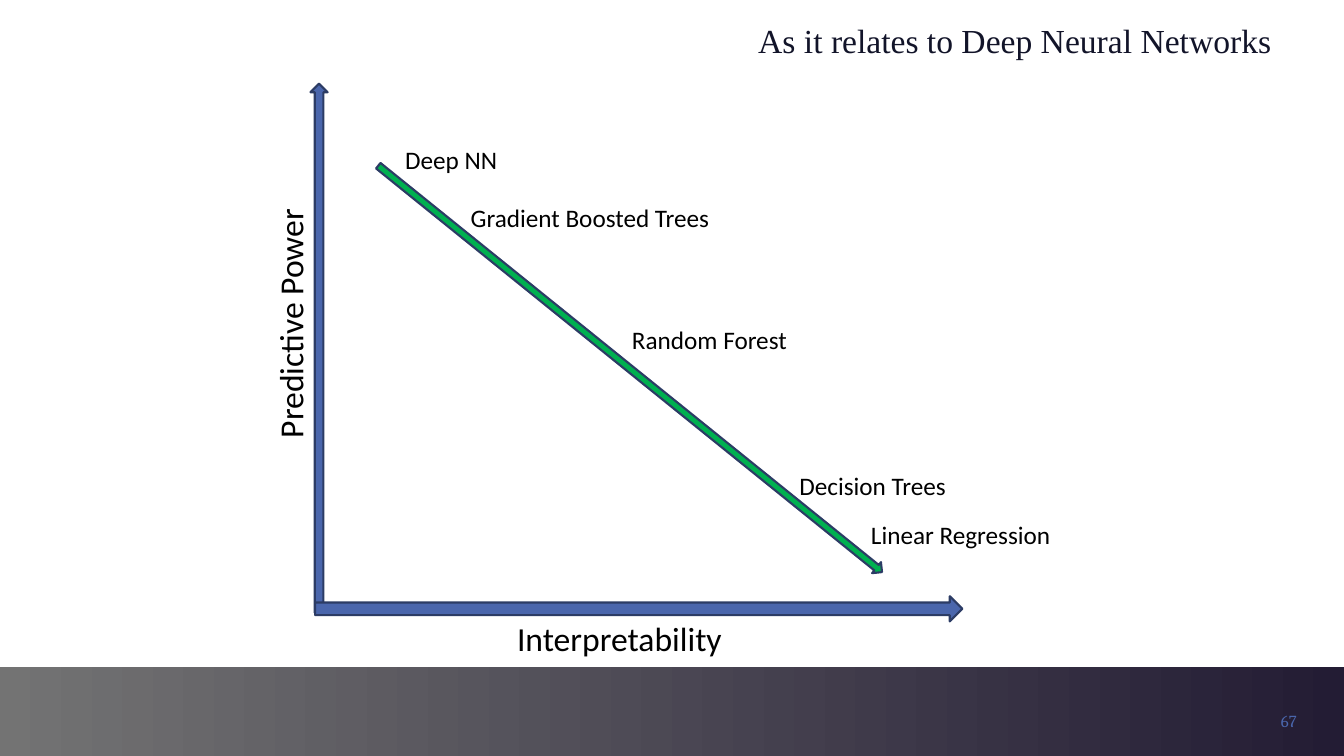
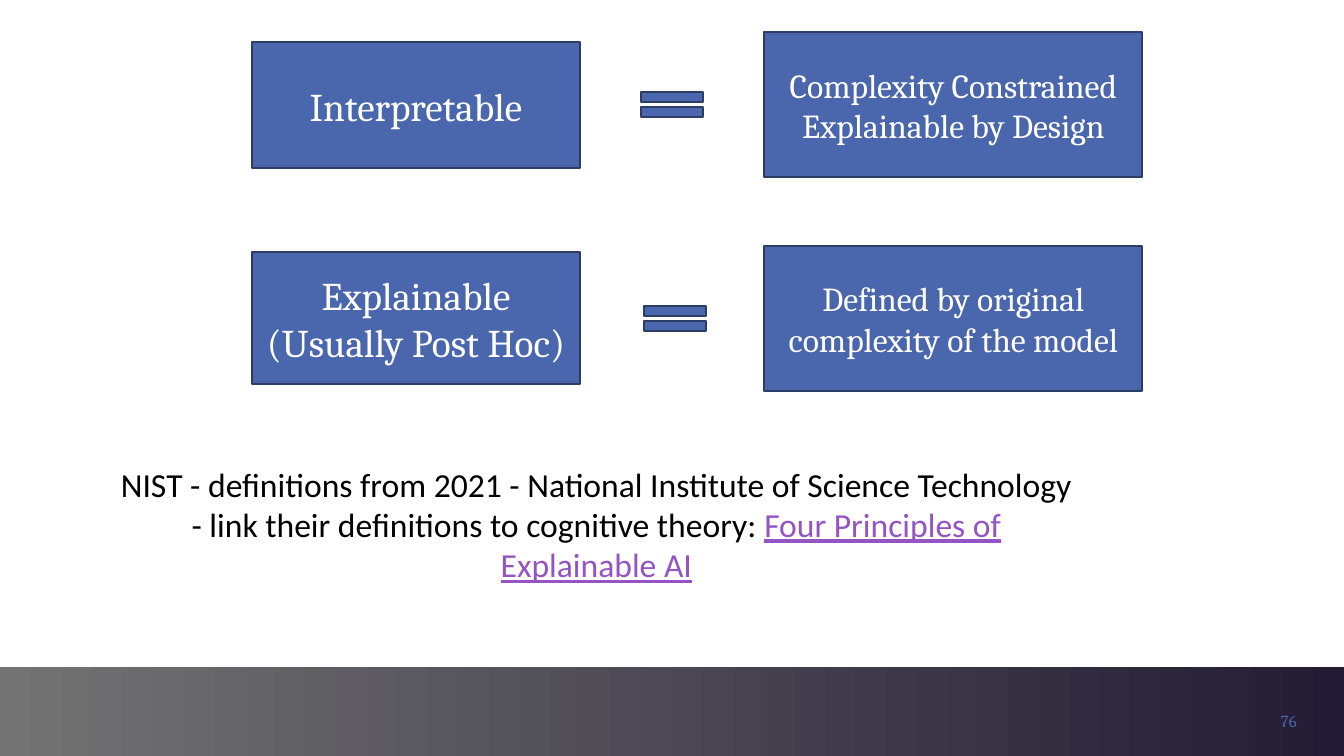
"""Build two slides on model interpretability and explainability."""
from pptx import Presentation
from pptx.dml.color import RGBColor
from pptx.enum.shapes import MSO_SHAPE
from pptx.enum.text import MSO_ANCHOR, MSO_AUTO_SIZE, PP_ALIGN
from pptx.util import Inches, Pt

BLUE, EDGE, GREEN = "4A66AC", "2C3C65", "00B050"
BLACK, WHITE, NAVY, PURPLE = "000000", "FFFFFF", "121429", "9454C3"
BAND = ("737373", "231C34")
WIDTH, HEIGHT, BAND_TOP = 13.33, 7.5, 6.62
TITLE_ONLY, BLANK = 5, 6

TITLE = "As it relates to Deep Neural Networks"
ARROWS = [
    ((3.08, 0.83, 0.17, 5.25), 0, BLUE),
    ((6.21, 2.83, 0.25, 6.42), 90, BLUE),
    ((6.18, 0.45, 0.14, 6.42), 128.9, GREEN),
]
AXIS_LABELS = [
    ("Predictive Power", (1.57, 2.89, 2.61, 0.5), 270),
    ("Interpretability", (5.03, 6.08, 3.17, 0.5), 0),
]
MODELS = [
    ("Deep NN", 3.92, 1.38),
    ("Gradient Boosted Trees", 4.57, 1.96),
    ("Random Forest", 6.17, 3.17),
    ("Decision Trees", 7.83, 4.62),
    ("Linear Regression", 8.54, 5.1),
]
TERMS = [
    ("Interpretable", (2.5, 0.42, 3.25, 1.25), 28),
    ("Explainable (Usually Post Hoc)", (2.5, 2.5, 3.25, 1.31), 28),
    ("Complexity Constrained Explainable by Design", (7.58, 0.32, 3.75, 1.44), 24),
    ("Defined by original complexity of the model", (7.58, 2.44, 3.75, 1.44), 24),
]
EQUALS = [(6.25, 0.83, 0.83, 0.42), (6.28, 2.95, 0.83, 0.42)]
NOTE = ("NIST - definitions from 2021 - National Institute of Science Technology "
        "- link their definitions to cognitive theory: ")
NOTE_LINK = "Four Principles of Explainable AI"


def rgb(color):
    return RGBColor.from_string(color)


def box(at):
    return [Inches(v) for v in at]


def style(r, size, color, font):
    r.font.size, r.font.name = Pt(size), font
    r.font.color.rgb = rgb(color)


def write(sp, text, size, color=BLACK, font="Calibri",
          align=PP_ALIGN.LEFT, anchor=MSO_ANCHOR.TOP):
    tf = sp.text_frame
    tf.word_wrap, tf.auto_size = True, MSO_AUTO_SIZE.NONE
    tf.vertical_anchor = anchor
    tf.text = text
    p = tf.paragraphs[0]
    p.alignment = align
    style(p.runs[0], size, color, font)
    return p


def add_text(s, text, at, size, rotation=0, **look):
    sp = s.shapes.add_textbox(*box(at))
    sp.rotation = rotation
    return write(sp, text, size, **look)


def add_block(s, kind, at, color=BLUE, rotation=0):
    sp = s.shapes.add_shape(kind, *box(at))
    sp.shadow.inherit = False
    sp.rotation = rotation
    sp.fill.solid()
    sp.fill.fore_color.rgb = rgb(color)
    sp.line.color.rgb = rgb(EDGE)
    sp.line.width = Pt(1.5)
    return sp


def add_slide(prs, layout, number):
    s = prs.slides.add_slide(prs.slide_layouts[layout])
    band = add_block(s, MSO_SHAPE.RECTANGLE, (0, BAND_TOP, WIDTH, HEIGHT - BAND_TOP))
    band.line.fill.background()
    band.fill.gradient()
    band.fill.gradient_angle = 0
    for stop, color in zip(band.fill.gradient_stops, BAND):
        stop.color.rgb = rgb(color)
    add_text(s, number, (9.96, 6.95, 3, 0.4), 12, color=BLUE, font="Cambria",
             align=PP_ALIGN.RIGHT, anchor=MSO_ANCHOR.MIDDLE)
    return s


def tradeoff_slide(prs):
    s = add_slide(prs, TITLE_ONLY, "67")
    title = s.shapes.title
    title.left, title.top, title.width, title.height = box((7.42, 0.15, 5.71, 0.5))
    write(title, TITLE, 24, NAVY, "Times New Roman")
    for at, rotation, color in ARROWS:
        add_block(s, MSO_SHAPE.UP_ARROW, at, color, rotation)
    for text, at, rotation in AXIS_LABELS:
        add_text(s, text, at, 24, rotation)
    for text, left, top in MODELS:
        add_text(s, text, (left, top, 2.83, 0.4), 18)


def definitions_slide(prs):
    s = add_slide(prs, BLANK, "76")
    for text, at, size in TERMS:
        write(add_block(s, MSO_SHAPE.RECTANGLE, at), text, size, WHITE, "Cambria",
              PP_ALIGN.CENTER, MSO_ANCHOR.MIDDLE)
    for at in EQUALS:
        add_block(s, MSO_SHAPE.MATH_EQUAL, at)
    p = add_text(s, NOTE, (1.08, 4.55, 9.67, 1.31), 24, align=PP_ALIGN.CENTER)
    r = p.add_run()
    r.text = NOTE_LINK
    style(r, 24, PURPLE, "Calibri")
    r.font.underline = True


def main():
    prs = Presentation()
    prs.slide_width, prs.slide_height = Inches(WIDTH), Inches(HEIGHT)
    tradeoff_slide(prs)
    definitions_slide(prs)
    prs.save("out.pptx")


if __name__ == "__main__":
    main()
